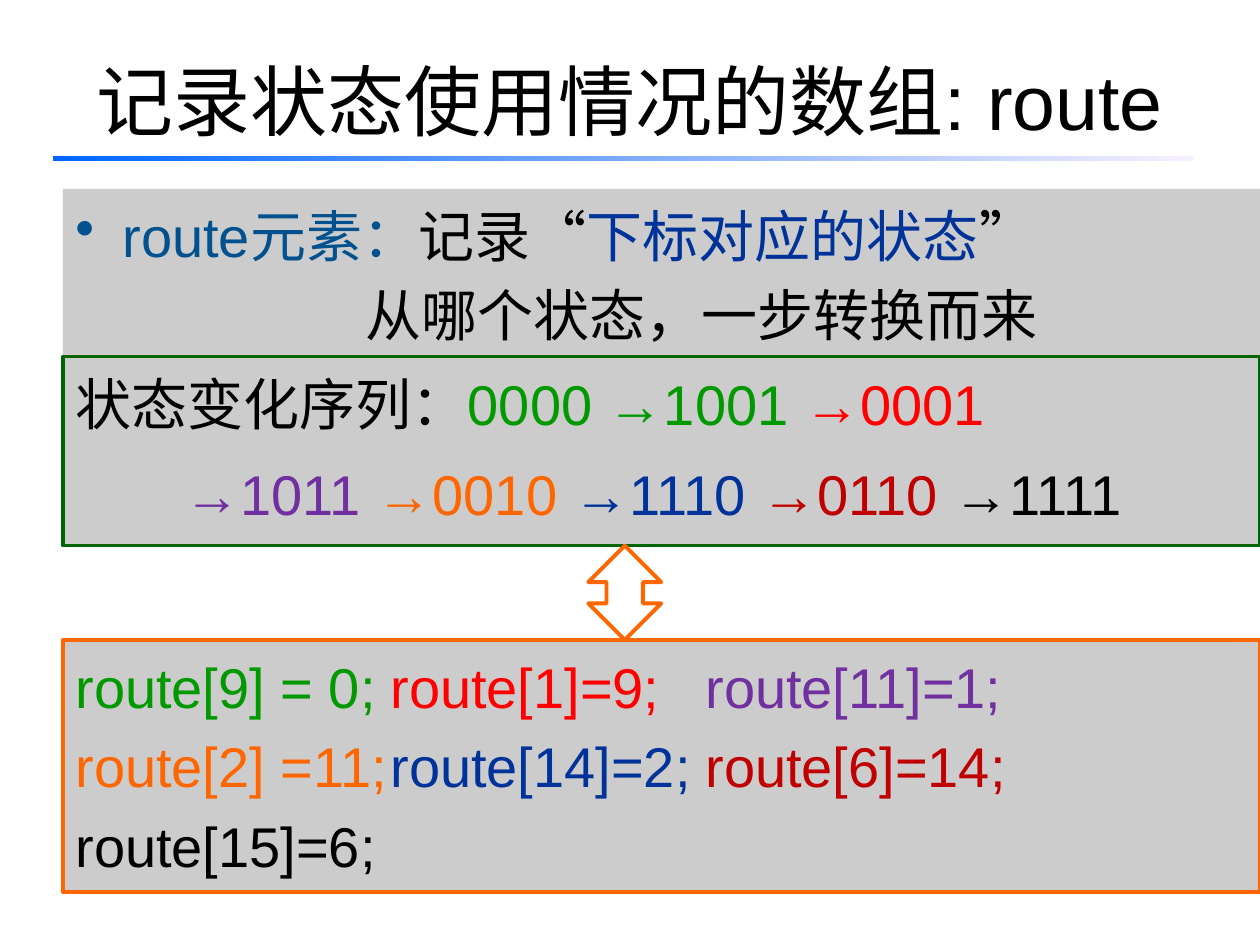
import pptx
import pptx.dml.color
import pptx.enum.shapes
import pptx.enum.text
import pptx.oxml
import pptx.oxml.ns
import pptx.util

Cm, Pt = pptx.util.Cm, pptx.util.Pt
SHAPES = pptx.enum.shapes.MSO_SHAPE
ALIGN = pptx.enum.text.PP_ALIGN
ANCHOR = pptx.enum.text.MSO_ANCHOR

# Colours
BLACK, GREY, TEAL, NAVY = "000000", "CCCCCC", "00518E", "003399"
GREEN, DARK_GREEN, RED = "009900", "006600", "FF0000"
PURPLE, ORANGE, CRIMSON = "7030A0", "FF6600", "C00000"

# Content: each paragraph has runs of (text, colour)
TITLE = "记录状态使用情况的数组: route"
ROUTE_TABS = (7.9, 15.54)
DEFINITION = [
    {"bullet": "•", "left": 0.95, "hang": 0.95,
     "runs": [("route元素：", TEAL), ("记录“", BLACK),
              ("下标对应的状态", NAVY), ("”", BLACK)]},
    {"left": 5.84, "runs": [("从哪个状态，一步转换而来", BLACK)]},
]
SEQUENCE = [
    {"runs": [("状态变化序列：", BLACK), ("0000 →1001 ", GREEN), ("→0001", RED)]},
    {"left": 2.2, "before": 13,
     "runs": [("→1011 ", PURPLE), ("→0010 ", ORANGE), ("→1110 ", NAVY),
              ("→0110 ", CRIMSON), ("→1111", BLACK)]},
]
ROUTES = [
    {"tabs": ROUTE_TABS, "runs": [("route[9] = 0;\t", GREEN), ("route[1]=9;\t", RED),
                                  ("route[11]=1;", PURPLE)]},
    {"tabs": ROUTE_TABS, "runs": [("route[2] =11;\t", ORANGE), ("route[14]=2;\t", NAVY),
                                  ("route[6]=14;", CRIMSON)]},
    {"runs": [("route[15]=6;", BLACK)]},
]

# Layout in cm: panels share a left edge and run to the slide's right edge
SLIDE_W, SLIDE_H = 25.4, 19.05
PANEL_LEFT = 1.27
PANELS = [  # top, height, paragraphs, outline (colour, points)
    (3.81, 3.38, DEFINITION, None),
    (12.9, 5.08, ROUTES, (ORANGE, 2.25)),
    (7.19, 3.81, SEQUENCE, (DARK_GREEN, 2)),
]
ARROW_TOP, ARROW_BOTTOM = 7.19 + 3.81, 12.9


def rgb(value):
    return pptx.dml.color.RGBColor.from_string(value)


def style_run(run, size, colour):
    run.font.name = "Arial"
    run.font.size = Pt(size)
    run.font.color.rgb = rgb(colour)


def add_shape(kind, left, top, width, height, fill=None, outline=None):
    shape = slide.shapes.add_shape(kind, Cm(left), Cm(top), Cm(width), Cm(height))
    shape.shadow.inherit = False
    if fill:
        shape.fill.solid()
        shape.fill.fore_color.rgb = rgb(fill)
    else:
        shape.fill.background()
    if outline:
        shape.line.color.rgb = rgb(outline[0])
        shape.line.width = Pt(outline[1])
    else:
        shape.line.fill.background()
    return shape


def add_child(parent, tag, **attributes):
    child = pptx.oxml.ns.qn(tag)
    element = parent.makeelement(child, {k: str(v) for k, v in attributes.items()})
    parent.append(element)
    return element


def fill_text(frame, paragraphs):
    frame.word_wrap = True
    frame.vertical_anchor = ANCHOR.TOP
    frame.margin_top = Cm(0.25)
    for index, content in enumerate(paragraphs):
        paragraph = frame.paragraphs[0] if index == 0 else frame.add_paragraph()
        properties = paragraph._p.get_or_add_pPr()
        properties.set("marL", str(Cm(content.get("left", 0))))
        properties.set("indent", str(-Cm(content.get("hang", 0))))
        if "bullet" in content:
            add_child(properties, "a:buChar", char=content["bullet"])
        if "tabs" in content:
            tab_list = add_child(properties, "a:tabLst")
            for position in content["tabs"]:
                add_child(tab_list, "a:tab", pos=Cm(position), algn="l")
        paragraph.alignment = ALIGN.LEFT
        if index:
            paragraph.space_before = Pt(content.get("before", 7))
        for text, colour in content["runs"]:
            run = paragraph.add_run()
            run.text = text
            style_run(run, 32, colour)


presentation = pptx.Presentation()
presentation.slide_width, presentation.slide_height = Cm(SLIDE_W), Cm(SLIDE_H)
slide = presentation.slides.add_slide(presentation.slide_layouts[6])

# Title and its fading rule
title = slide.shapes.add_textbox(Cm(1.27), Cm(0.43), Cm(22.86), Cm(3.18)).text_frame
title.word_wrap = True
title.vertical_anchor = ANCHOR.MIDDLE
title.text = TITLE
title.paragraphs[0].alignment = ALIGN.CENTER
style_run(title.paragraphs[0].runs[0], 44, BLACK)

rule = add_shape(SHAPES.RECTANGLE, 1.07, 3.15, 22.99, 0.1)
rule.fill.gradient()
rule.fill.gradient_angle = 0
for stop, colour in zip(rule.fill.gradient_stops, ("0066FF", "F7EFFF")):
    stop.color.rgb = rgb(colour)

# Text panels
for top, height, paragraphs, outline in PANELS:
    panel = add_shape(SHAPES.RECTANGLE, PANEL_LEFT, top, SLIDE_W - PANEL_LEFT, height,
                      GREY, outline)
    fill_text(panel.text_frame, paragraphs)

# Arrow linking the sequence with the route values
add_shape(SHAPES.UP_DOWN_ARROW, 11.86, ARROW_TOP, 1.47, ARROW_BOTTOM - ARROW_TOP,
          outline=(ORANGE, 2.25))

presentation.save("out.pptx")
